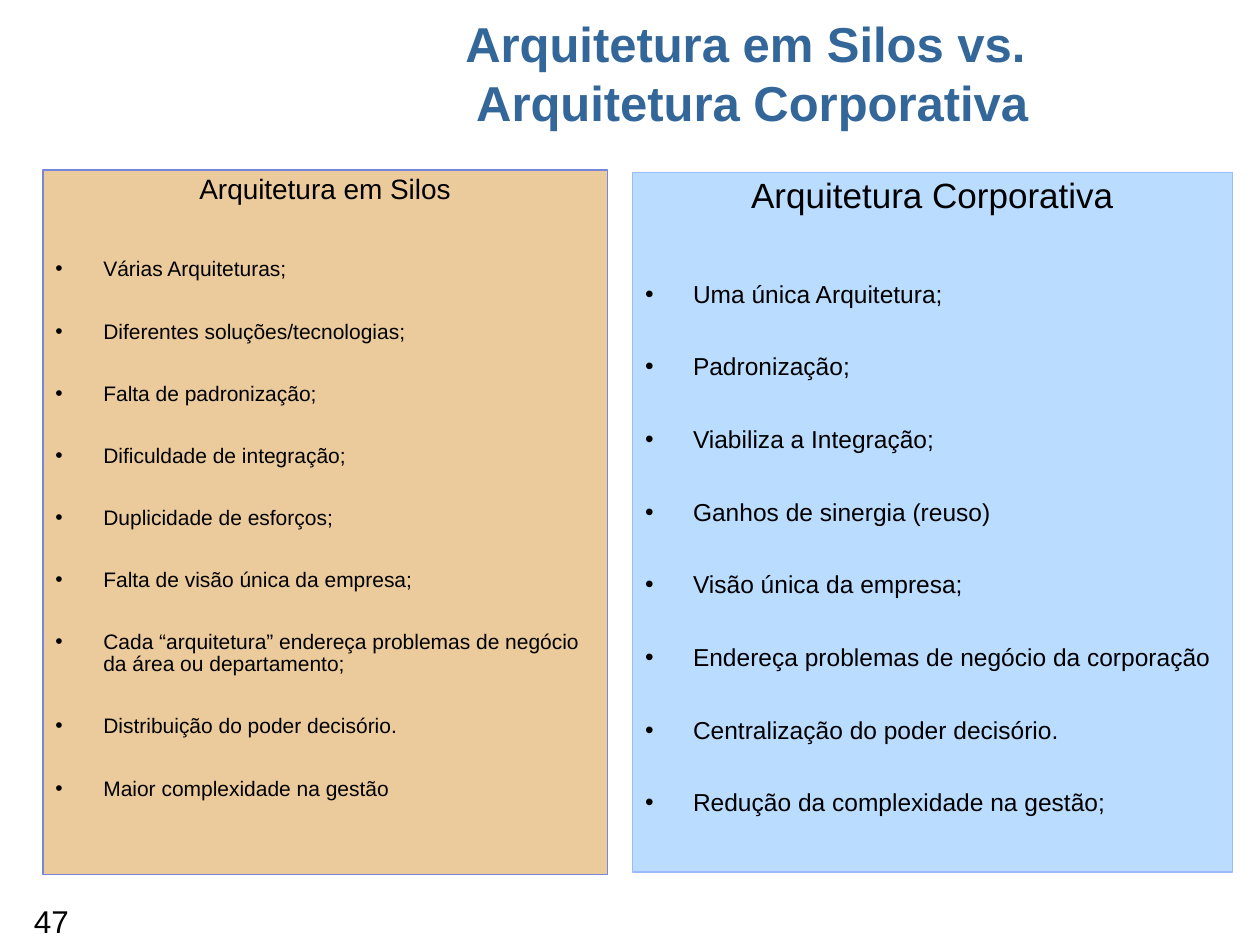
from lxml import etree
from pptx import Presentation
from pptx.dml.color import RGBColor
from pptx.enum.text import MSO_ANCHOR as ANCHOR, MSO_AUTO_SIZE as FIT, PP_ALIGN as ALIGN
from pptx.oxml.ns import qn
from pptx.util import Inches, Pt

COLORS = {
    "title": "336699", "text": "000000",
    "silo_fill": "D18213", "silo_line": "7886DA",
    "corp_fill": "99CCFF", "corp_line": "9CBAFF",
}
LINE_SPACING = 0.87
GAP_RATIO = 1.92
HANG = Inches(0.38)

SILOS = [
    "Várias Arquiteturas;",
    "Diferentes soluções/tecnologias;",
    "Falta de padronização;",
    "Dificuldade de integração;",
    "Duplicidade de esforços;",
    "Falta de visão única da empresa;",
    "Cada “arquitetura” endereça problemas de negócio da área ou departamento;",
    "Distribuição do poder decisório.",
    "Maior complexidade na gestão",
]
CORPORATE = [
    "Uma única Arquitetura;",
    "Padronização;",
    "Viabiliza a Integração;",
    "Ganhos de sinergia (reuso)",
    "Visão única da empresa;",
    "Endereça problemas de negócio da corporação",
    "Centralização do poder decisório.",
    "Redução da complexidade na gestão;",
]


def rgb(name):
    """Return the palette colour of that name."""
    return RGBColor.from_string(COLORS[name])


def place(sp, box):
    """Move a shape to a box in inches and return its prepared text frame."""
    sp.left, sp.top, sp.width, sp.height = map(Inches, box)
    tf = sp.text_frame
    tf.word_wrap = True
    tf.auto_size = FIT.NONE
    tf.vertical_anchor = ANCHOR.TOP
    return tf


def add_run(p, text, size, color="text", bold=False):
    """Add one formatted run to a paragraph."""
    r = p.add_run()
    r.text = text
    font = r.font
    font.name, font.size, font.bold = "Arial", Pt(size), bold
    font.color.rgb = rgb(color)


def set_bullet(p, bulleted):
    """Give a paragraph a hanging black bullet, or none at all."""
    pPr = p._p.get_or_add_pPr()
    indent = HANG if bulleted else 0
    pPr.set("marL", str(indent))
    pPr.set("indent", str(-indent))
    if not bulleted:
        etree.SubElement(pPr, qn("a:buNone"))
        return
    color = etree.SubElement(pPr, qn("a:buClr"))
    etree.SubElement(color, qn("a:srgbClr"), val=COLORS["text"])
    etree.SubElement(pPr, qn("a:buFont"), typeface="Arial")
    etree.SubElement(pPr, qn("a:buChar"), char="•")


def add_title(sp, box, lines):
    """Fill the title placeholder with centred lines."""
    tf = place(sp, box)
    tf.margin_top = Inches(0.09)
    p = tf.paragraphs[0]
    p.alignment = ALIGN.CENTER
    for i, line in enumerate(lines):
        if i:
            p.add_line_break()
        add_run(p, line, 28, "title", True)


def add_panel(sp, box, kind, alpha, heading, items, heading_size, item_size):
    """Fill a body placeholder as a tinted panel with heading and bullets."""
    tf = place(sp, box)
    sp.fill.solid()
    sp.fill.fore_color.rgb = rgb(f"{kind}_fill")
    tint = sp.fill._xPr.find(qn("a:solidFill"))[0]
    etree.SubElement(tint, qn("a:alpha"), val=str(alpha * 1000))
    sp.line.color.rgb = rgb(f"{kind}_line")
    sp.line.width = Pt(0.75)
    for i, text in enumerate([heading, *items]):
        p = tf.add_paragraph() if i else tf.paragraphs[0]
        size = item_size if i else heading_size
        set_bullet(p, i > 0)
        p.alignment = ALIGN.LEFT if i else ALIGN.CENTER
        p.line_spacing = LINE_SPACING
        p.space_before = Pt(0)
        p.space_after = Pt(round(size * GAP_RATIO, 1))
        add_run(p, text, size)


def add_page_number(slide, box, number):
    """Add the page number in the lower left corner."""
    sp = slide.shapes.add_textbox(*map(Inches, box))
    add_run(place(sp, box).paragraphs[0], number, 18)


def main():
    """Build and save the comparison slide."""
    prs = Presentation()
    prs.slide_width, prs.slide_height = Inches(10), Inches(7.5)
    slide = prs.slides.add_slide(prs.slide_layouts[3])
    title, left, right = slide.placeholders
    add_page_number(slide, (0.17, 7.11, 1.1, 0.35), "47")
    add_title(title, (1.46, 0.02, 9.02, 0.44),
              ["Arquitetura em Silos vs. ", "Arquitetura Corporativa"])
    add_panel(left, (0.34, 1.35, 4.48, 5.59), "silo", 42,
              "Arquitetura em Silos", SILOS, 16, 12)
    add_panel(right, (5.02, 1.37, 4.76, 5.55), "corp", 67,
              "Arquitetura Corporativa", CORPORATE, 20, 14)
    prs.save("out.pptx")


if __name__ == "__main__":
    main()
